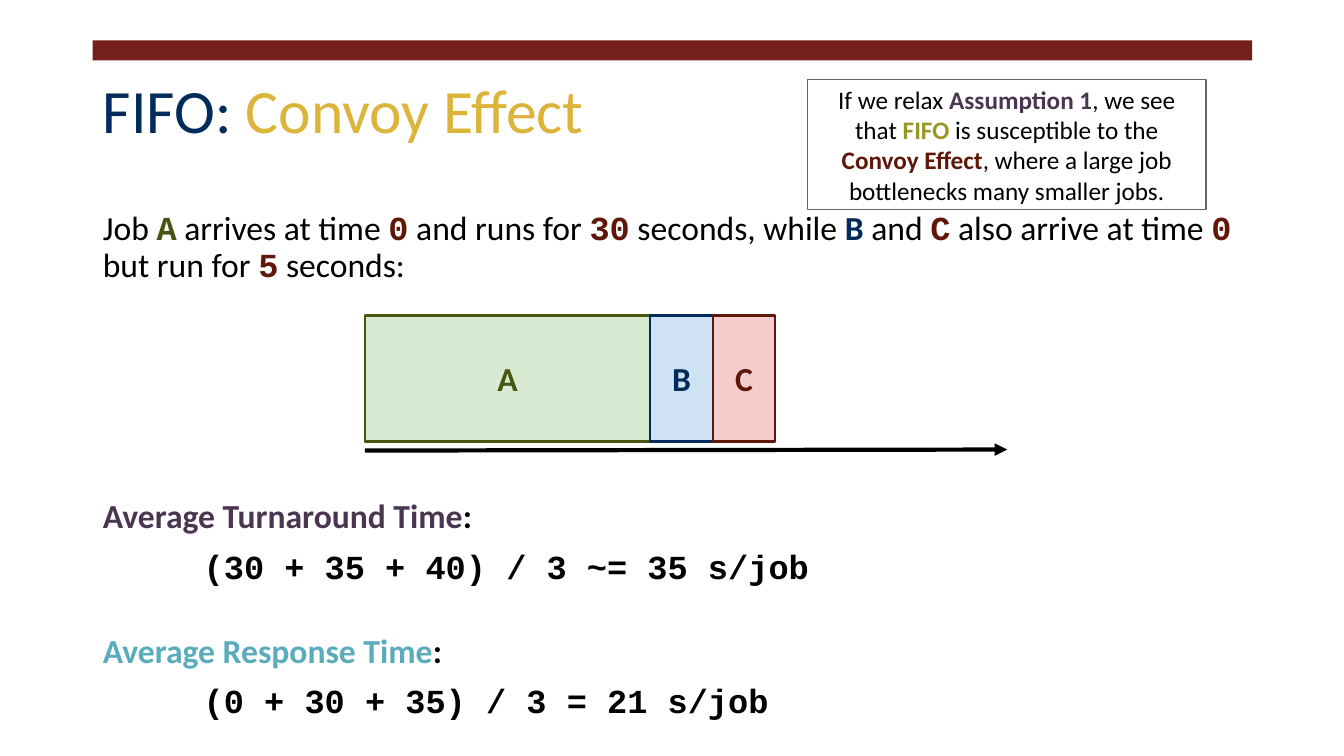
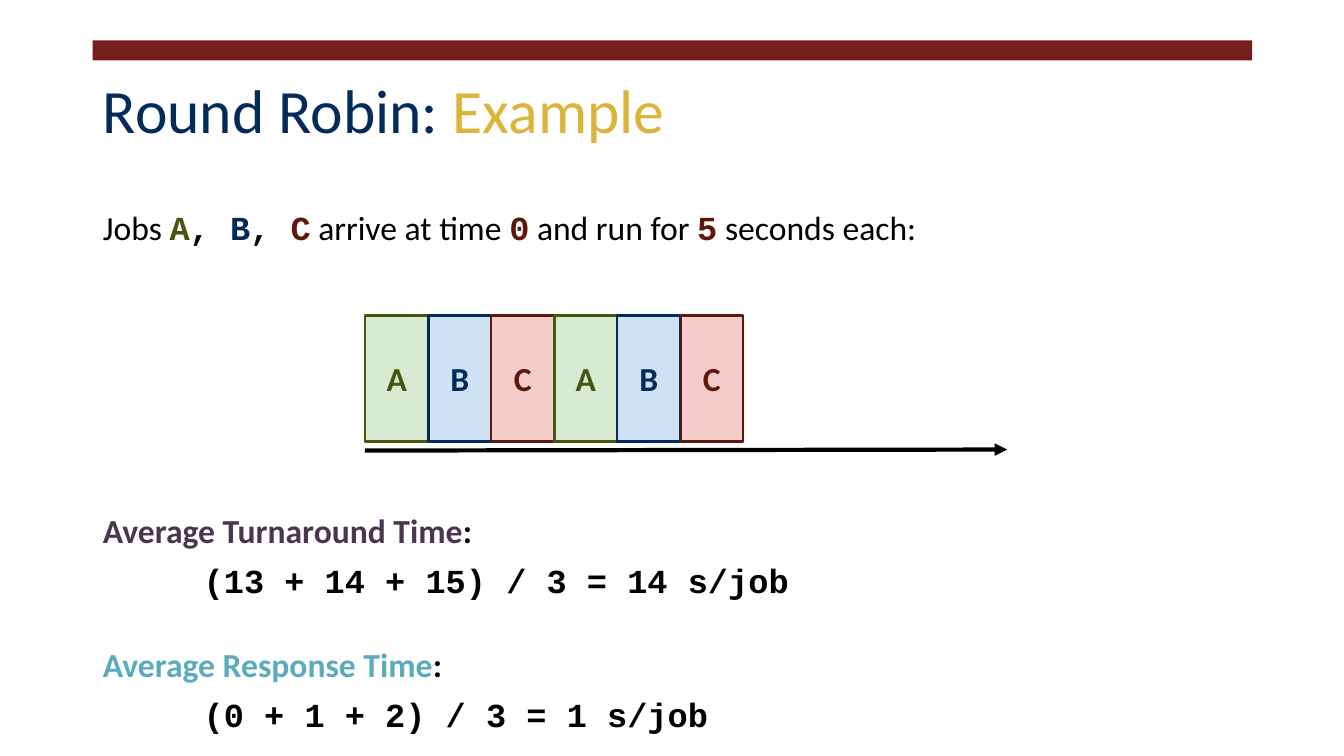
from lxml import etree
from pptx import Presentation
from pptx import util as u
from pptx.dml.color import RGBColor
from pptx.enum import shapes, text
from pptx.oxml import ns

PX = 9144
SANS, MONO = "Calibri", "Courier New"
INK = RGBColor(0x00, 0x00, 0x00)
WHITE = RGBColor(0xFF, 0xFF, 0xFF)
GREY = RGBColor(0x66, 0x66, 0x66)
BAND = RGBColor(0x75, 0x1F, 0x1C)
NAVY = RGBColor(0x00, 0x2B, 0x5B)
GOLD = RGBColor(0xDC, 0xB4, 0x39)
MOSS = RGBColor(0x46, 0x55, 0x10)
RUST = RGBColor(0x5F, 0x17, 0x09)
PLUM = RGBColor(0x4A, 0x36, 0x51)
TEAL = RGBColor(0x5A, 0xAB, 0xBC)
OLIVE = RGBColor(0x99, 0x96, 0x23)
JOBS = {
    "A": (RGBColor(0xD9, 0xEA, 0xD3), MOSS),
    "B": (RGBColor(0xCF, 0xE2, 0xF3), NAVY),
    "C": (RGBColor(0xF4, 0xCC, 0xCC), RUST),
}
TITLE = (92, 40, 1150, 145)
BODY = (92, 200, 1150, 535)
CHART = (362, 313, 637, 134)
NOTE = (801, 79, 395, 129)


def apply(item, **vals):
    """Set each named attribute of an item."""
    for key, val in vals.items():
        setattr(item, key, val)


def place(item, box):
    """Move an item to a box given in px."""
    apply(item, **dict(zip(("left", "top", "width", "height"), (v * PX for v in box))))


def frame(tf, anchor):
    """Give a text frame the shared insets and wrapping."""
    sides = ("left", "top", "right", "bottom")
    apply(tf, word_wrap=True, auto_size=text.MSO_AUTO_SIZE.NONE, vertical_anchor=anchor,
          **{f"margin_{side}": 10 * PX for side in sides})


def code(words, color=INK):
    """Describe a bold fixed-width run."""
    return words, color, True, MONO


def bold(words, color):
    """Describe a bold run."""
    return words, color, True


def write(para, runs, size):
    """Fill a paragraph with runs of text, colour, weight and face."""
    for words, color, heavy, face in (
            (*run, INK, False, SANS)[:1] + (*run[1:], *(INK, False, SANS)[len(run) - 1:])
            for run in runs):
        run = para.add_run()
        run.text = words
        apply(run.font, name=face, size=u.Pt(size), bold=heavy)
        run.font.color.rgb = color


def block(slide, box, fill, line=None, width=1.5):
    """Draw a flat rectangle with an optional outline."""
    shape = slide.shapes.add_shape(shapes.MSO_SHAPE.RECTANGLE, *(v * PX for v in box))
    shape.shadow.inherit = False
    shape.fill.solid()
    shape.fill.fore_color.rgb = fill
    if line is None:
        shape.line.fill.background()
    else:
        shape.line.color.rgb = line
        shape.line.width = u.Pt(width)
    return shape


def label(shape, runs, size):
    """Centre text in a shape."""
    frame(shape.text_frame, text.MSO_ANCHOR.MIDDLE)
    para = shape.text_frame.paragraphs[0]
    para.alignment = text.PP_ALIGN.CENTER
    write(para, runs, size)


def setup(deck):
    """Give the layout its title, body and band."""
    layout = deck.slide_layouts[1]
    title, body = list(layout.placeholders)[:2]
    for item, box, anchor in ((title, TITLE, text.MSO_ANCHOR.MIDDLE),
                              (body, BODY, text.MSO_ANCHOR.TOP)):
        place(item, box)
        frame(item.text_frame, anchor)
    return layout


def band(slide, layout):
    """Draw the top band and hand it to the layout."""
    bar = block(slide, (92, 40, 1150, 20), BAND)
    layout.shapes._spTree.insert(2, bar._element)


def head(slide, topic, part):
    """Write the two-colour title."""
    para = slide.shapes.title.text_frame.paragraphs[0]
    apply(para, alignment=text.PP_ALIGN.LEFT, line_spacing=0.9)
    write(para, [(topic + ": ", NAVY), (part, GOLD)], 44)


def prose(slide, intro, gap, turn, reply):
    """Write the job description and both averages."""
    tf = slide.placeholders[1].text_frame
    rows = [
        (intro, 0, 0),
        ([bold("Average Turnaround Time", PLUM), bold(":", INK)], gap, 0),
        ([code(turn)], 10, 100),
        ([bold("Average Response Time", TEAL), bold(":", INK)], 34, 0),
        ([code(reply)], 10, 100),
    ]
    for i, (runs, before, indent) in enumerate(rows):
        para = tf.add_paragraph() if i else tf.paragraphs[0]
        props = para._p.get_or_add_pPr()
        props.set("marL", str(indent * PX))
        props.set("indent", "0")
        etree.SubElement(props, ns.qn("a:buNone"))
        apply(para, line_spacing=0.9, space_before=u.Pt(before))
        write(para, runs, 24)


def chart(slide, box, names, spans):
    """Draw job blocks in a row above a time arrow."""
    x, y, w, h = box
    line = slide.shapes.add_connector(
        shapes.MSO_CONNECTOR.STRAIGHT, x * PX, (y + h) * PX, (x + w) * PX, (y + h - 1) * PX)
    line.line.color.rgb = INK
    line.line.width = u.Pt(3)
    etree.SubElement(line.line._get_or_add_ln(), ns.qn("a:tailEnd"), type="triangle")
    etree.SubElement(line._element.spPr, ns.qn("a:effectLst"))
    for name, span in zip(names, spans):
        fill, edge = JOBS[name]
        label(block(slide, (x, y, span, h - 9), fill, edge), [bold(name, edge)], 24)
        x += span


def note(slide, box, runs):
    """Draw the boxed remark."""
    label(block(slide, box, WHITE, GREY, 1), runs, 18)


def fifo(slide):
    """Build the convoy effect slide."""
    head(slide, "FIFO", "Convoy Effect")
    intro = [
        ("Job ",), code("A", MOSS), (" arrives at time ",), code("0", RUST),
        (" and runs for ",), code("30", RUST), (" seconds, while ",), bold("B", NAVY),
        (" and ",), code("C", RUST), (" also arrive at time ",), code("0", RUST),
        (" but run for ",), code("5", RUST), (" seconds:",),
    ]
    prose(slide, intro, 154, "(30 + 35 + 40) / 3 ~= 35 s/job", "(0 + 30 + 35) / 3 = 21 s/job")
    chart(slide, CHART, "ABC", (283, 62, 62))
    note(slide, NOTE, [
        ("If we relax ",), bold("Assumption 1", PLUM), (", we see that ",),
        bold("FIFO", OLIVE), (" is susceptible to the ",), bold("Convoy Effect", RUST),
        (", where a large job bottlenecks many smaller jobs.",),
    ])


def robin(slide):
    """Build the round robin slide."""
    head(slide, "Round Robin", "Example")
    intro = [
        ("Jobs ",), code("A", MOSS), code(", "), code("B", NAVY), code(", "), code("C", RUST),
        (" arrive at time ",), code("0", RUST), (" and run for ",), code("5", RUST),
        (" seconds each:",),
    ]
    prose(slide, intro, 190, "(13 + 14 + 15) / 3 = 14 s/job", "(0 + 1 + 2) / 3 = 1 s/job")
    chart(slide, CHART, "ABC" * 2, (63, 62) * 3)


def main():
    """Build and save the deck."""
    deck = Presentation()
    apply(deck, slide_width=1333 * PX, slide_height=750 * PX)
    layout = setup(deck)
    for i, build in enumerate((fifo, robin)):
        slide = deck.slides.add_slide(layout)
        if not i:
            band(slide, layout)
        build(slide)
    deck.save("out.pptx")


if __name__ == "__main__":
    main()
